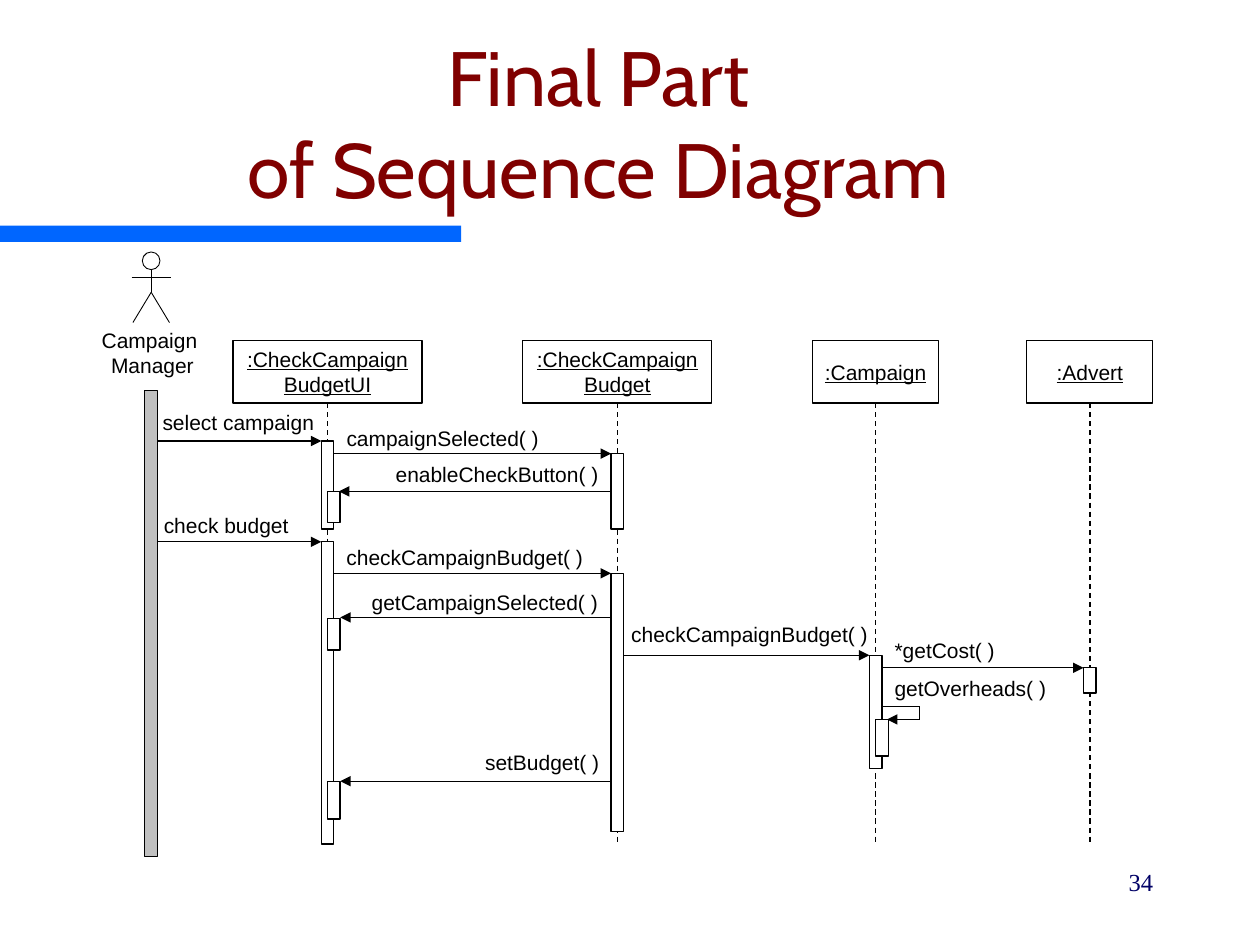
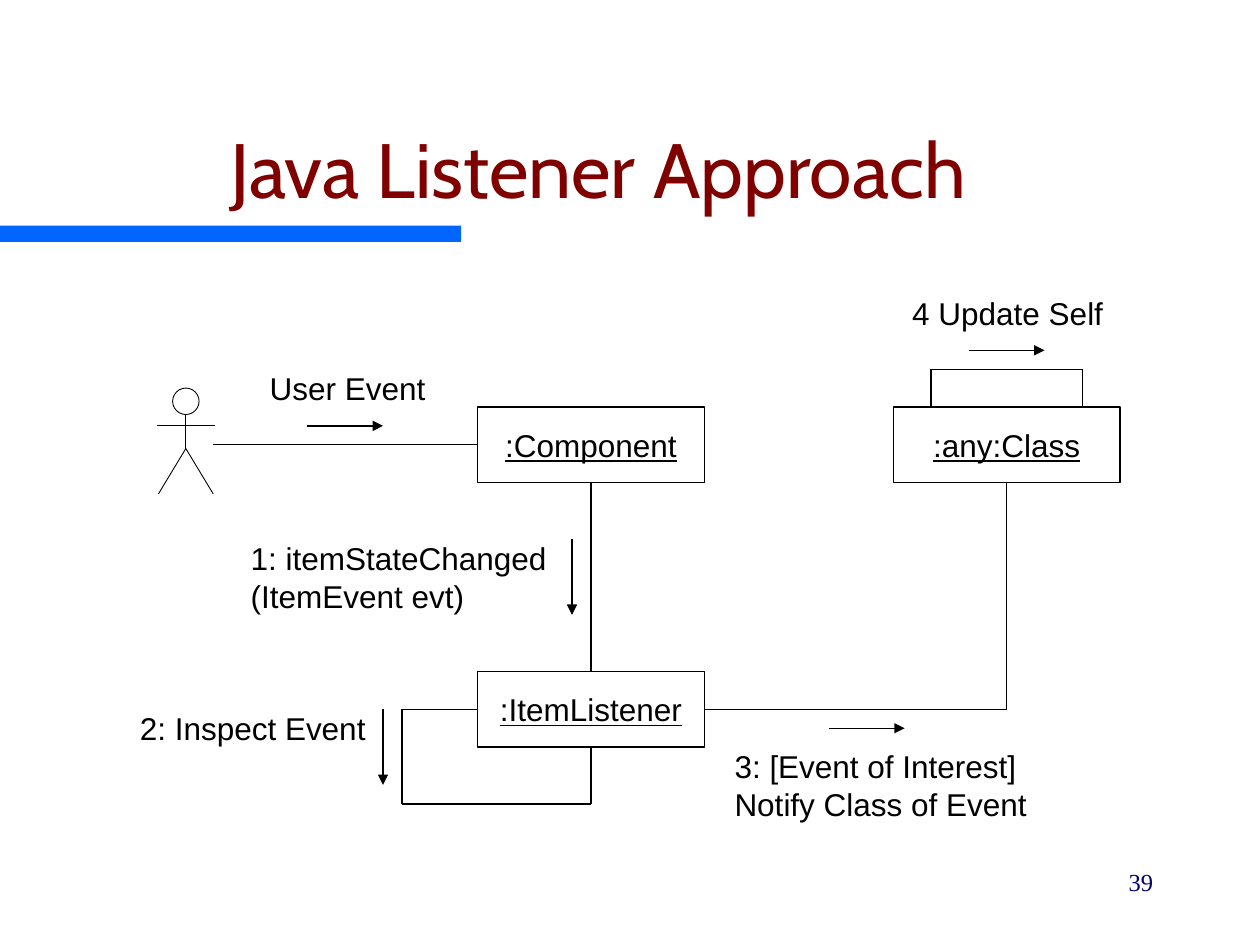
from copy import deepcopy

from lxml.etree import SubElement
from pptx import Presentation
from pptx.dml.color import RGBColor
from pptx.enum.dml import MSO_LINE
from pptx.enum.shapes import MSO_CONNECTOR, MSO_SHAPE as SHAPE
from pptx.enum.text import MSO_ANCHOR as ANCHOR, PP_ALIGN as ALIGN
from pptx.oxml.ns import qn
from pptx.util import Inches, Pt

BLACK, WHITE, GREY = "000000", "FFFFFF", "C0C0C0"
BLUE, MAROON, NAVY = "0066FF", "800000", "000066"
BODY_FONT, TITLE_FONT, NUMBER_FONT = "Arial", "Cabin", "Times New Roman"
TOP, LEFT, BOTTOM, RIGHT = range(4)
HALF_BAR = 0.05
HEAD_TOP, HEAD_HEIGHT, LIFELINE_END = 2.7, 0.5, 6.7
ARROW_LENGTH = 0.6
LABEL_SLACK = 0.05

LIFELINES = [
    (":CheckCampaign\vBudgetUI", 2.6, 1.5),
    (":CheckCampaign\vBudget", 4.9, 1.5),
    (":Campaign", 6.95, 1),
    (":Advert", 8.65, 1),
]
MESSAGES = [
    ("select campaign", 1.25, 2.55, 3.5, (1.29, 3.25, 1.21)),
    ("campaignSelected( )", 2.65, 4.85, 3.6, (2.75, 3.38, 1.53)),
    ("enableCheckButton( )", 4.85, 2.69, 3.9, (3.14, 3.66, 1.61)),
    ("check budget", 1.25, 2.55, 4.3, (1.3, 4.07, 0.99)),
    ("checkCampaignBudget( )", 2.65, 4.85, 4.55, (2.75, 4.32, 1.88)),
    ("getCampaignSelected( )", 4.85, 2.7, 4.9, (2.95, 4.68, 1.8)),
    ("checkCampaignBudget( )", 4.95, 6.9, 5.2, (5.01, 4.93, 1.88)),
    ("*getCost( )", 7, 8.6, 5.3, (7.1, 5.06, 0.8)),
    ("setBudget( )", 4.85, 2.7, 6.2, (3.85, 5.95, 0.91)),
]
ACTIVATIONS = [
    (2.6, 3.5, 0.7), (2.6, 4.3, 2.4),
    (4.9, 3.6, 0.6), (4.9, 4.55, 2.05),
    (6.95, 5.2, 0.9), (8.65, 5.3, 0.2),
    (2.65, 3.9, 0.25), (2.65, 4.91, 0.25), (2.65, 6.2, 0.3), (7, 5.71, 0.29),
]


def color(code):
    """Turn a hex string into a colour."""
    return RGBColor.from_string(code)


def write(box, text, size=12, font=BODY_FONT, ink=BLACK, align=ALIGN.LEFT,
          anchor=ANCHOR.TOP, underline=None, wrap=True, inset=(0.1, 0.05), before=None):
    """Put formatted text into a shape."""
    frame = box.text_frame
    frame.text = text
    frame.word_wrap, frame.vertical_anchor = wrap, anchor
    frame.margin_left = frame.margin_right = Inches(inset[0])
    frame.margin_top = frame.margin_bottom = Inches(inset[1])
    for para in frame.paragraphs:
        para.alignment = align
        if before is not None:
            para.space_before = Pt(before)
        for span in para.runs:
            span.font.size, span.font.name = Pt(size), font
            span.font.underline = underline
            span.font.color.rgb = color(ink)
        for line_break in para._p.findall(qn("a:br")):
            line_break.insert(0, deepcopy(para.runs[0]._r.rPr))


def text_box(page, text, left, top, width, height, **style):
    """Add a text box."""
    box = page.shapes.add_textbox(*map(Inches, (left, top, width, height)))
    write(box, text, **style)


def label(page, text, left, top, width, size=12):
    """Add a label without margins, slightly wider than its text."""
    height = (text.count("\n") + text.count("\v") + 1) * size / 60
    text_box(page, text, left, top, width + LABEL_SLACK, height, size=size, inset=(0, 0))


def shape(page, left, top, width, height, fill=WHITE, kind=SHAPE.RECTANGLE, weight=0.75):
    """Add a filled shape, outlined in black if it has a weight."""
    item = page.shapes.add_shape(kind, *map(Inches, (left, top, width, height)))
    item.shadow.inherit = False
    item.fill.solid()
    item.fill.fore_color.rgb = color(fill)
    if weight:
        item.line.color.rgb = color(BLACK)
        item.line.width = Pt(weight)
    else:
        item.line.fill.background()
    return item


def object_box(page, name, left, top, width, height, size):
    """Add a box that holds an underlined object name."""
    box = shape(page, left, top, width, height)
    write(box, name, size=size, align=ALIGN.CENTER, anchor=ANCHOR.MIDDLE,
          underline=True, wrap=False)
    return box


def line(page, start, end, weight=0.75, arrow=False, dashed=False, begin=None, finish=None):
    """Add a straight line, joined to (shape, side) pairs if given."""
    link = page.shapes.add_connector(MSO_CONNECTOR.STRAIGHT, *map(Inches, (*start, *end)))
    link.line.color.rgb = color(BLACK)
    link.line.width = Pt(weight)
    if dashed:
        link.line.dash_style = MSO_LINE.DASH
    if arrow:
        SubElement(link.line._get_or_add_ln(), qn("a:tailEnd"), type="triangle")
    SubElement(link._element.spPr, qn("a:effectLst"))
    if begin:
        link.begin_connect(*begin)
    if finish:
        link.end_connect(*finish)


def route(page, *points, begin=None, finish=None, arrow=False):
    """Draw a bent line through the points."""
    last = len(points) - 2
    for index, (start, end) in enumerate(zip(points, points[1:])):
        line(page, start, end, arrow=arrow and index == last,
             begin=begin if index == 0 else None,
             finish=finish if index == last else None)


def actor(page, center, top, scale=1):
    """Draw a stick figure."""
    def point(across, down):
        return center + across * scale, top + down * scale

    hip = point(0, 0.32)
    limbs = [(hip, point(0, 0.14)), (point(-0.155, 0.2), point(0.155, 0.2)),
             (point(-0.145, 0.56), hip), (hip, point(0.145, 0.56))]
    for start, end in limbs:
        line(page, start, end, weight=0.5)
    shape(page, *point(-0.07, 0), 0.14 * scale, 0.14 * scale, kind=SHAPE.OVAL, weight=0.5)


def new_page(deck, title, number):
    """Add a page with the shared band, title and page number."""
    page = deck.slides.add_slide(deck.slide_layouts[6])
    shape(page, 0, 1.79, 3.66, 0.13, fill=BLUE, weight=None)
    text_box(page, title, 0.25, 0.5, 9, 1.25, size=44, font=TITLE_FONT, ink=MAROON,
             align=ALIGN.CENTER, anchor=ANCHOR.BOTTOM)
    text_box(page, number, 7.17, 6.83, 2.08, 0.5, size=14, font=NUMBER_FONT, ink=NAVY,
             align=ALIGN.RIGHT, before=8.8)
    return page


def sequence_page(deck):
    """Build the sequence diagram."""
    page = new_page(deck, "Final Part\vof Sequence Diagram", "34")
    actor(page, 1.2, 2)
    text_box(page, "Campaign \vManager", 0.75, 2.6, 0.92, 0.46,
             align=ALIGN.CENTER, inset=(0, 0))
    shape(page, 1.15, 3.1, 2 * HALF_BAR, 3.7, fill=GREY)
    for name, center, width in LIFELINES:
        head = object_box(page, name, center - width / 2, HEAD_TOP, width, HEAD_HEIGHT, 12)
        line(page, (center, HEAD_TOP + HEAD_HEIGHT), (center, LIFELINE_END),
             dashed=True, begin=(head, BOTTOM))
    for center, top, height in ACTIVATIONS:
        shape(page, center - HALF_BAR, top, 2 * HALF_BAR, height)
    for text, start, end, level, place in MESSAGES:
        line(page, (start, level), (end, level), arrow=True)
        label(page, text, *place)
    route(page, (7, 5.61), (7.3, 5.61), (7.3, 5.71), (7.04, 5.71), arrow=True)
    label(page, "getOverheads( )", 7.1, 5.36, 1.21)


def listener_page(deck):
    """Build the listener collaboration diagram."""
    page = new_page(deck, "Java Listener Approach", "39")
    actor(page, 1.475, 3.08, scale=1.5)
    component, listener, any_class = [
        object_box(page, name, left, top, 1.8, 0.6, 18)
        for name, left, top in [(":Component", 3.79, 3.23), (":ItemListener", 3.79, 5.33),
                                (":any:Class", 7.09, 3.23)]]
    line(page, (1.69, 3.53), (3.79, 3.53), finish=(component, LEFT))
    line(page, (4.69, 3.83), (4.69, 5.33), begin=(component, BOTTOM), finish=(listener, TOP))
    route(page, (3.79, 5.63), (3.19, 5.63), (3.19, 6.38), (4.69, 6.38), (4.69, 5.93),
          begin=(listener, LEFT), finish=(listener, BOTTOM))
    route(page, (5.59, 5.63), (7.99, 5.63), (7.99, 3.83),
          begin=(listener, RIGHT), finish=(any_class, BOTTOM))
    route(page, (7.39, 3.23), (7.39, 2.93), (8.59, 2.93), (8.59, 3.23))
    for left, top in [(2.44, 3.38), (7.69, 2.78), (6.58, 5.78)]:
        line(page, (left, top), (left + ARROW_LENGTH, top), arrow=True)
    for left, top in [(4.54, 4.28), (3.04, 5.63)]:
        line(page, (left, top), (left, top + ARROW_LENGTH), arrow=True)
    for text, left, top, width in [
        ("User Event", 2.14, 2.93, 1.24),
        ("1: itemStateChanged\n(ItemEvent evt)", 1.99, 4.28, 2.35),
        ("2: Inspect Event", 1.11, 5.63, 1.79),
        ("3: [Event of Interest]\vNotify Class of Event", 5.83, 5.93, 2.32),
        ("4 Update Self", 7.24, 2.33, 1.52),
    ]:
        label(page, text, left, top, width, size=18)


def main():
    """Build and save the deck."""
    deck = Presentation()
    deck.slide_width, deck.slide_height = Inches(10), Inches(7.5)
    sequence_page(deck)
    listener_page(deck)
    deck.save("out.pptx")


if __name__ == "__main__":
    main()
